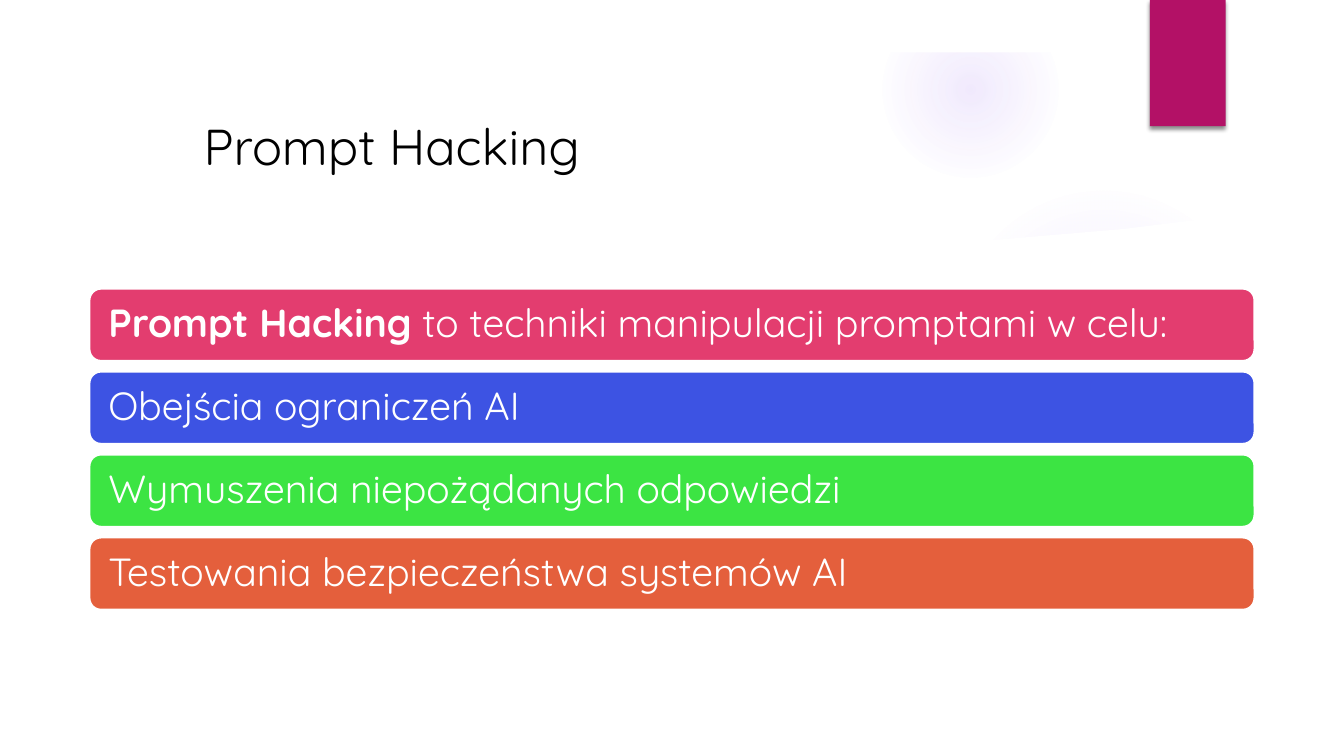
from lxml.etree import SubElement
from pptx import Presentation
from pptx.dml.color import RGBColor
from pptx.enum.shapes import MSO_SHAPE
from pptx.enum.text import MSO_ANCHOR, MSO_AUTO_SIZE, PP_ALIGN
from pptx.oxml import parse_xml
from pptx.oxml.ns import nsdecls, qn
from pptx.util import Cm, Pt

# Content
TITLE = "Prompt Hacking"
BARS = [  # colour name, runs as (text, bold)
    ("pink", [("Prompt Hacking", True),
              (" to techniki manipulacji promptami w celu:", False)]),
    ("blue", [("Obejścia ograniczeń AI", False)]),
    ("green", [("Wymuszenia niepożądanych odpowiedzi", False)]),
    ("orange", [("Testowania bezpieczeństwa systemów AI", False)]),
]

# Style, lengths in cm
COLORS = {"white": "FFFFFF", "black": "000000", "tab": "B31166", "glow": "9B6BF2",
          "pink": "E33D6F", "blue": "3D53E3", "green": "3CE443", "orange": "E45F3C"}
FONT = "Quicksand"
SLIDE_WIDTH, SLIDE_HEIGHT = 33.87, 19.05
BAR_LEFT, BAR_TOP, BAR_WIDTH, BAR_HEIGHT, BAR_PITCH = 2.24, 7.26, 29.39, 1.85, 2.09
GLOWS = [  # left, top, diameter, stops as (position %, opacity %)
    (23.9, 4.65, 7.82, [(0, 7), (36, 6), (69, 0)]),
    (22.23, 0.03, 4.45, [(0, 14), (36, 7), (73, 0)]),
]
PANEL = [(22.71, 6.2), (24.79, 6.07), (26.92, 5.89), (28.34, 5.77), (29.77, 5.59),
         (31.19, 5.41), (32.61, 5.18), (32.61, 12.6), (22.71, 12.6)]


def rgb(name):
    return RGBColor.from_string(COLORS[name])


def apply_format(target, values):
    for name, value in values.items():
        setattr(target, name, value)


def style_shape(shape, color):
    shape.shadow.inherit = False
    shape.fill.solid()
    shape.fill.fore_color.rgb = rgb(color)
    shape.line.fill.background()


def add_shape(page, kind, left, top, width, height, color):
    shape = page.shapes.add_shape(kind, Cm(left), Cm(top), Cm(width), Cm(height))
    style_shape(shape, color)
    return shape


def add_run(para, text, size, color, bold=False):
    span = para.add_run()
    span.text = text
    apply_format(span.font, {"name": FONT, "size": Pt(size), "bold": bold})
    span.font.color.rgb = rgb(color)


def add_glow(page, left, top, diameter, stops):
    glow = add_shape(page, MSO_SHAPE.OVAL, left, top, diameter, diameter, "glow")
    stop_xml = "".join(
        f'<a:gs pos="{position * 1000}"><a:srgbClr val="{COLORS["glow"]}">'
        f'<a:alpha val="{opacity * 1000}"/></a:srgbClr></a:gs>'
        for position, opacity in stops)
    gradient = parse_xml(
        f'<a:gradFill {nsdecls("a")}><a:gsLst>{stop_xml}</a:gsLst><a:path path="circle">'
        '<a:fillToRect l="50000" t="50000" r="50000" b="50000"/></a:path></a:gradFill>')
    properties = glow.element.spPr
    properties.replace(properties.find(qn("a:solidFill")), gradient)


def add_background(page):
    for glow in GLOWS:
        add_glow(page, *glow)
    # White panel with a curved upper edge, and white upper margin
    points = [(Cm(x), Cm(y)) for x, y in PANEL]
    builder = page.shapes.build_freeform(*points[0])
    builder.add_line_segments(points[1:], close=True)
    style_shape(builder.convert_to_shape(), "white")
    add_shape(page, MSO_SHAPE.RECTANGLE, 0, 0, SLIDE_WIDTH, 1.32, "white")
    # Coloured tab with a soft shadow
    tab = add_shape(page, MSO_SHAPE.RECTANGLE, 28.98, 0, 1.91, 3.18, "tab")
    effects = tab.element.spPr.find(qn("a:effectLst"))
    shadow = SubElement(effects, qn("a:outerShdw"), blurRad=str(Pt(3)),
                        dist=str(Pt(2)), dir="5400000", rotWithShape="0")
    shade = SubElement(shadow, qn("a:srgbClr"), val=COLORS["black"])
    SubElement(shade, qn("a:alpha"), val="45000")


def add_title(page):
    title = page.shapes.title
    apply_format(title, {"left": Cm(4.88), "top": Cm(2.21),
                         "width": Cm(24.1), "height": Cm(2.92)})
    apply_format(title.text_frame, {"vertical_anchor": MSO_ANCHOR.MIDDLE,
                                    "auto_size": MSO_AUTO_SIZE.NONE})
    para = title.text_frame.paragraphs[0]
    para.alignment = PP_ALIGN.LEFT
    add_run(para, TITLE, 36, "black")


def add_bar(page, index, color, runs):
    bar = add_shape(page, MSO_SHAPE.ROUNDED_RECTANGLE, BAR_LEFT,
                    BAR_TOP + index * BAR_PITCH, BAR_WIDTH, BAR_HEIGHT, color)
    bar.line.color.rgb = rgb("white")
    bar.line.width = Pt(2.25)
    apply_format(bar.text_frame, {
        "word_wrap": True, "vertical_anchor": MSO_ANCHOR.MIDDLE,
        "margin_left": Cm(0.4), "margin_right": Cm(0.4),
        "margin_top": Cm(0.3), "margin_bottom": Cm(0.3)})
    para = bar.text_frame.paragraphs[0]
    apply_format(para, {"alignment": PP_ALIGN.LEFT, "line_spacing": 0.9})
    for text, bold in runs:
        add_run(para, text, 28, "white", bold)


def main():
    deck = Presentation()
    apply_format(deck, {"slide_width": Cm(SLIDE_WIDTH), "slide_height": Cm(SLIDE_HEIGHT)})
    page = deck.slides.add_slide(deck.slide_layouts[5])
    add_background(page)
    add_title(page)
    for index, (color, runs) in enumerate(BARS):
        add_bar(page, index, color, runs)
    deck.save("out.pptx")


if __name__ == "__main__":
    main()
